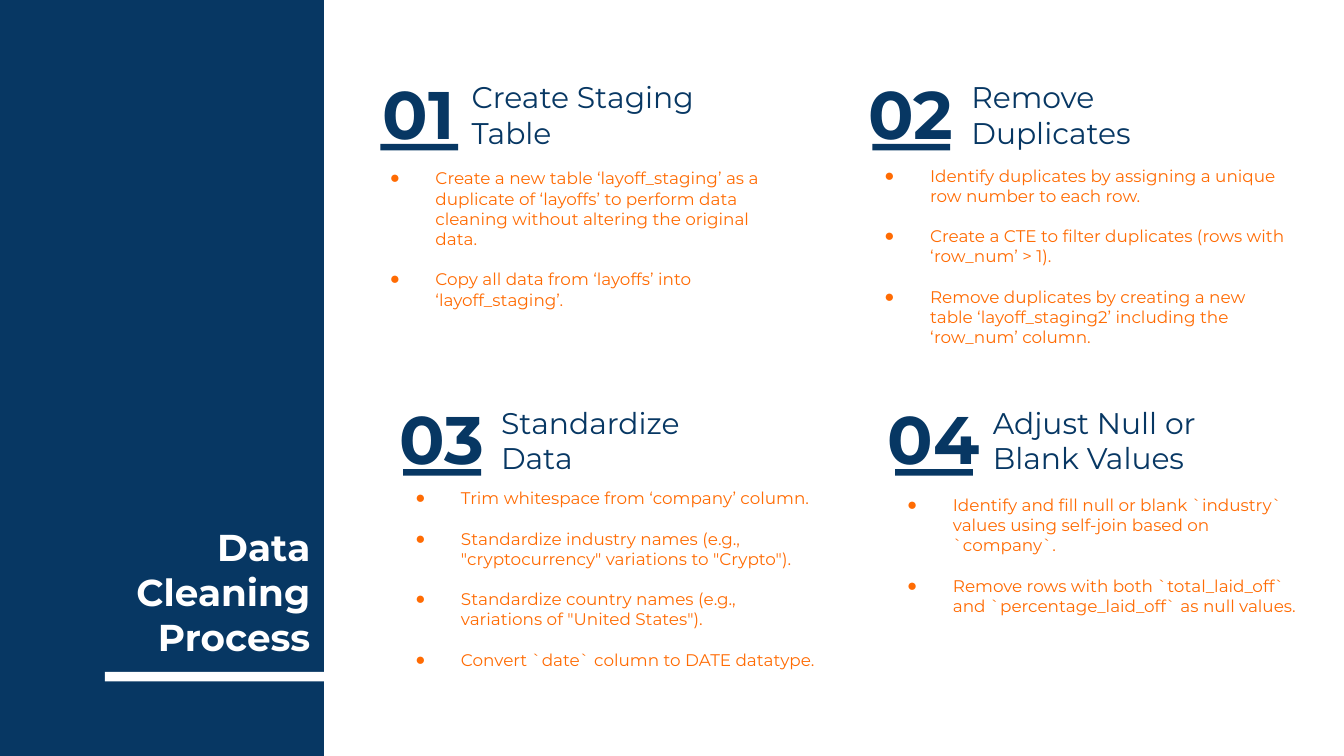
from pptx import Presentation
from pptx import util as u
from pptx.dml.color import RGBColor
from pptx.enum import shapes, text
from pptx.oxml.ns import qn
from lxml import etree

HUES = {"navy": "073763", "white": "FFFFFF", "flame": "FF6B03"}
FONT = "Montserrat"
STYLES = {
    "title": {"size": u.Pt(20), "bold": True, "name": FONT},
    "number": {"size": u.Pt(36), "bold": True, "name": FONT},
    "head": {"size": u.Pt(16), "bold": False, "name": FONT},
    "list": {"size": u.Pt(9), "bold": False, "name": FONT},
}
STEPS = [
    {"num": "01", "at": (2.66, 0.56), "head": "Create Staging Table",
     "hbox": (3.41, 2.05), "list": (2.64, 1.22, 1.38), "pad": 0.03,
     "items": ["Create a new table ‘layoff_staging’ as a duplicate of ‘layoffs’ to perform "
               "data cleaning without altering the original data.",
               "Copy all data from ‘layoffs’ into ‘layoff_staging’."]},
    {"num": "02", "at": (6.32, 0.56), "head": "Remove Duplicates",
     "hbox": (7.13, 1.56), "list": (6.32, 1.23, 1.61), "pad": 0,
     "items": ["Identify duplicates by assigning a unique row number to each row.",
               "Create a CTE to filter duplicates (rows with ‘row_num’ > 1).",
               "Remove duplicates by creating a new table ‘layoff_staging2’ including the "
               "‘row_num’ column."]},
    {"num": "03", "at": (2.83, 2.98), "head": "Standardize Data",
     "hbox": (3.63, 1.7), "list": (2.83, 3.61, 1.38), "pad": 0.02,
     "items": ["Trim whitespace from ‘company’ column.",
               'Standardize industry names (e.g., "cryptocurrency" variations to "Crypto").',
               'Standardize country names (e.g., variations of "United States").',
               "Convert `date` column to DATE datatype."]},
    {"num": "04", "at": (6.49, 2.98), "head": "Adjust Null or Blank Values",
     "hbox": (7.29, 1.94), "list": (6.49, 3.61, 1.04), "pad": 0.07,
     "items": ["Identify and fill null or blank `industry` values using self-join based on "
               "`company`.",
               "Remove rows with both `total_laid_off` and `percentage_laid_off` as null "
               "values."]},
]


def place(shape, box):
    """Move a shape to a box given in inches."""
    for key, val in zip(("left", "top", "width", "height"), box):
        setattr(shape, key, u.Inches(val))


def bar(slide, box, hue):
    """Add a plain filled rectangle."""
    shape = slide.shapes.add_shape(shapes.MSO_SHAPE.RECTANGLE, *map(u.Inches, box))
    shape.shadow.inherit = False
    shape.fill.solid()
    shape.fill.fore_color.rgb = RGBColor.from_string(HUES[hue])
    shape.line.fill.background()
    return shape


def write(shape, lines, style, hue, align="LEFT", anchor="MIDDLE", pad=0):
    """Fill a shape with styled paragraphs."""
    frame = shape.text_frame
    frame.text = "\n".join(lines)
    form = {"word_wrap": True, "auto_size": text.MSO_AUTO_SIZE.NONE,
            "vertical_anchor": text.MSO_ANCHOR[anchor],
            "margin_left": u.Inches(0.1), "margin_right": u.Inches(0.1),
            "margin_top": u.Inches(pad), "margin_bottom": 0}
    for key, val in form.items():
        setattr(frame, key, val)
    for para in frame.paragraphs:
        para.alignment = text.PP_ALIGN[align]
        para.space_before = u.Pt(0)
        font = para.runs[0].font
        for key, val in STYLES[style].items():
            setattr(font, key, val)
        font.color.rgb = RGBColor.from_string(HUES[hue])
    return frame


def label(slide, box, words, style, align="LEFT"):
    """Add a navy text box."""
    shape = slide.shapes.add_textbox(*map(u.Inches, box))
    write(shape, [words], style, "navy", align)


def bullet(para, hue):
    """Give a paragraph a coloured hanging bullet."""
    props = para._p.get_or_add_pPr()
    props.set("marL", str(u.Inches(0.5)))
    props.set("indent", str(u.Inches(-0.34)))
    tint = etree.SubElement(props, qn("a:buClr"))
    etree.SubElement(tint, qn("a:srgbClr")).set("val", HUES[hue])
    etree.SubElement(props, qn("a:buChar")).set("char", "●")


def fill_list(body, step):
    """Set a step's bullets in a body placeholder."""
    left, top, high = step["list"]
    place(body, (left, top, 3.36, high))
    frame = write(body, step["items"], "list", "flame", anchor="TOP", pad=step["pad"])
    for i, para in enumerate(frame.paragraphs):
        para.space_before = u.Pt(10.8 if i else 0)
        bullet(para, "flame")


def add_step(slide, body, step):
    """Build one numbered step."""
    x, y = step["at"]
    left, wide = step["hbox"]
    label(slide, (left, y + 0.03, wide, 0.53), step["head"], "head")
    label(slide, (x, y, 0.91, 0.56), step["num"], "number", "CENTER")
    bar(slide, (x + 0.17, y + 0.51, 0.58, 0.05), "navy")
    fill_list(body, step)


def main():
    """Build and save the slide."""
    deck = Presentation()
    deck.slide_width = u.Inches(10)
    deck.slide_height = deck.slide_width * 9 // 16
    slide = deck.slides.add_slide(deck.slide_layouts.get_by_name("Comparison"))
    title, *bodies = slide.placeholders
    panel = bar(slide, (-0.04, -0.07, 2.45, 5.77), "navy")
    slide.shapes._spTree.insert(2, panel._element)
    bar(slide, (0.78, 5, 2.24, 0.07), "white")
    place(title, (0.68, 3.81, 1.73, 1.19))
    frame = write(title, ["Data Cleaning Process"], "title", "white", "RIGHT", "BOTTOM")
    frame.margin_bottom = u.Inches(0.1)
    for body, step in zip(bodies, STEPS):
        add_step(slide, body, step)
    deck.save("out.pptx")


if __name__ == "__main__":
    main()
